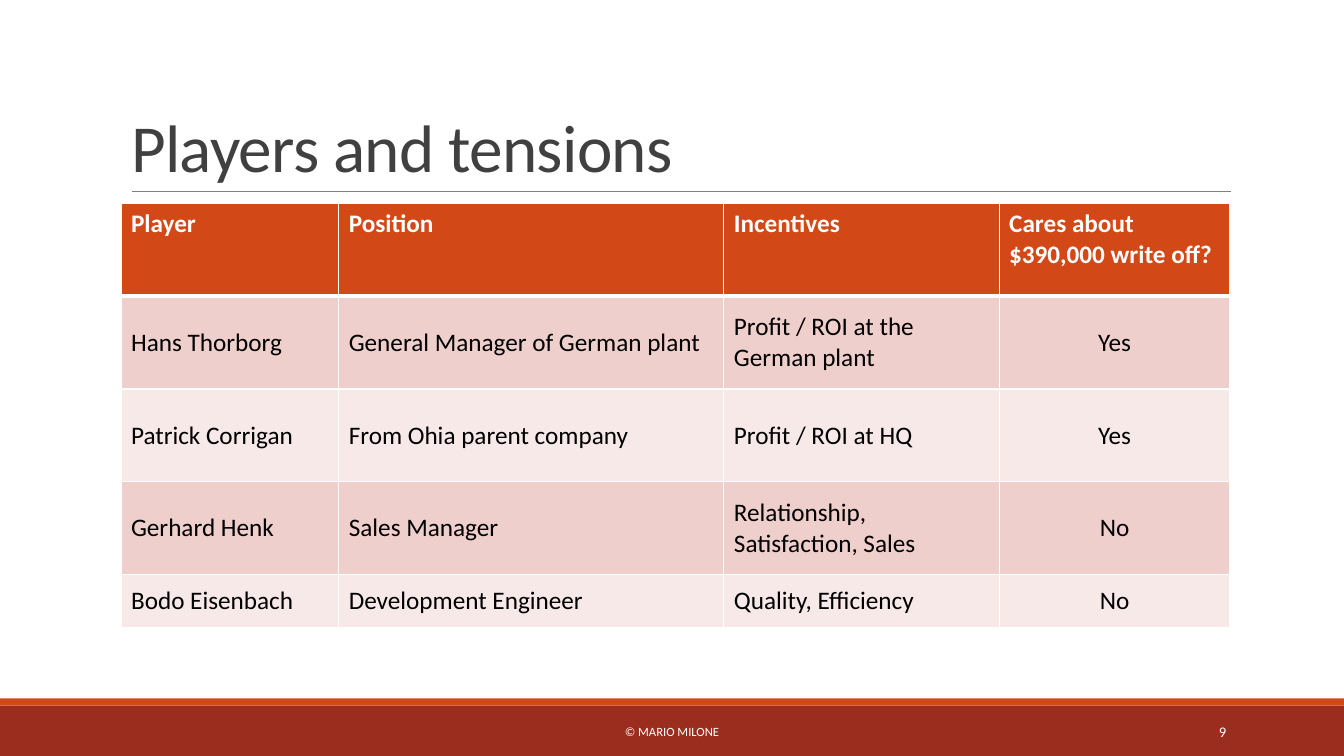
from lxml.etree import SubElement
from pptx import Presentation
from pptx.dml.color import RGBColor
from pptx.enum.shapes import MSO_CONNECTOR, MSO_SHAPE
from pptx.enum.text import MSO_ANCHOR, PP_ALIGN
from pptx.oxml.ns import qn
from pptx.util import Inches, Pt

FONT = "Calibri"
COLORS = {
    "white": "FFFFFF", "black": "000000", "title": "404040", "rule": "808080",
    "orange": "D34817", "red": "9B2D1F", "band": "EFCFCC", "pale": "F7E9E8",
}
PLAYERS = [
    ("Player", "Position", "Incentives", "Cares about $390,000 write off?"),
    ("Hans Thorborg", "General Manager of German plant",
     "Profit / ROI at the German plant", "Yes"),
    ("Patrick Corrigan", "From Ohia parent company", "Profit / ROI at HQ", "Yes"),
    ("Gerhard Henk", "Sales Manager", "Relationship, Satisfaction, Sales", "No"),
    ("Bodo Eisenbach", "Development Engineer", "Quality, Efficiency", "No"),
]
COLUMN_WIDTHS = [2.16, 3.82, 2.73, 2.29]
ROW_HEIGHTS = [0.92] * 4 + [0.53]


def color(name):
    """Return the named colour."""
    return RGBColor.from_string(COLORS[name])


def add_span(para, text, size, tint, bold=False):
    """Add one formatted run to a paragraph."""
    span = para.add_run()
    span.text = text
    span.font.name, span.font.size, span.font.bold = FONT, Pt(size), bold
    span.font.color.rgb = color(tint)
    return span


def add_title(page, box, text):
    """Set the title at the bottom of its box, with a rule below it."""
    left, top, width, height = box
    title = page.shapes.title
    title.left, title.top, title.width, title.height = map(Inches, box)
    frame = title.text_frame
    frame.word_wrap = True
    frame.vertical_anchor = MSO_ANCHOR.BOTTOM
    para = frame.paragraphs[0]
    para.alignment, para.line_spacing = PP_ALIGN.LEFT, 0.85
    span = add_span(para, text, 48, "title")
    span.font._element.set("spc", "-50")

    bottom = Inches(top + height)
    rule = page.shapes.add_connector(
        MSO_CONNECTOR.STRAIGHT, Inches(left + 0.11), bottom,
        Inches(left + width + 0.01), bottom)
    rule.line.color.rgb, rule.line.width = color("rule"), Pt(0.5)
    SubElement(rule._element.spPr, qn("a:effectLst"))


def add_borders(cell, bottom_width):
    """Draw white borders round a cell."""
    properties = cell._tc.get_or_add_tcPr()
    for side, width in (("L", 1), ("R", 1), ("T", 1), ("B", bottom_width)):
        line = SubElement(properties, qn("a:ln" + side), w=str(Pt(width)))
        fill = SubElement(line, qn("a:solidFill"))
        SubElement(fill, qn("a:srgbClr"), val=COLORS["white"])


def add_players_table(page, box):
    """Add the table of players, with a header and alternating bands."""
    table = page.shapes.add_table(
        len(PLAYERS), len(COLUMN_WIDTHS), *map(Inches, box)).table
    for column, width in zip(table.columns, COLUMN_WIDTHS):
        column.width = Inches(width)
    for row, height in zip(table.rows, ROW_HEIGHTS):
        row.height = Inches(height)
    for row_index, player in enumerate(PLAYERS):
        header = row_index == 0
        band = "orange" if header else "band" if row_index % 2 else "pale"
        for column_index, text in enumerate(player):
            cell = table.cell(row_index, column_index)
            add_borders(cell, 3 if row_index == 0 else 1)
            if row_index == 1:
                cell._tc.tcPr.find(qn("a:lnT")).set("w", str(Pt(3)))
            cell.fill.solid()
            cell.fill.fore_color.rgb = color(band)
            cell.vertical_anchor = MSO_ANCHOR.TOP if header else MSO_ANCHOR.MIDDLE
            para = cell.text_frame.paragraphs[0]
            if not header and column_index == len(player) - 1:
                para.alignment = PP_ALIGN.CENTER
            add_span(para, text, 18, "white" if header else "black", header)


def add_footer(page, box):
    """Add the two footer bars, the copyright line and the page number."""
    left, top, width, height = box
    stripe = 0.07
    bars = [("red", top + stripe, height - stripe), ("orange", top, stripe)]
    for tint, bar_top, bar_height in bars:
        bar = page.shapes.add_shape(
            MSO_SHAPE.RECTANGLE, *map(Inches, (left, bar_top, width, bar_height)))
        bar.shadow.inherit = False
        bar.fill.solid()
        bar.fill.fore_color.rgb = color(tint)
        bar.line.fill.background()

    labels = [("© MARIO MILONE", 4.03, 5.27, 9, PP_ALIGN.CENTER),
              ("9", 10.83, 1.43, 10.5, PP_ALIGN.RIGHT)]
    for text, offset, label_width, size, alignment in labels:
        label = page.shapes.add_textbox(
            *map(Inches, (left + offset, top + 0.13, label_width, 0.4)))
        frame = label.text_frame
        frame.word_wrap = True
        frame.vertical_anchor = MSO_ANCHOR.MIDDLE
        para = frame.paragraphs[0]
        para.alignment = alignment
        add_span(para, text, size, "white")


def build_players_slide(deck):
    """Build the slide of players and their tensions."""
    page = deck.slides.add_slide(deck.slide_layouts[5])
    add_footer(page, (0, 6.93, 13.33, 0.57))
    add_title(page, (1.2, 0.31, 11, 1.59), "Players and tensions")
    add_players_table(page, (1.2, 2.02, sum(COLUMN_WIDTHS), sum(ROW_HEIGHTS)))


deck = Presentation()
deck.slide_width, deck.slide_height = Inches(13.33), Inches(7.5)
build_players_slide(deck)
deck.save("out.pptx")
